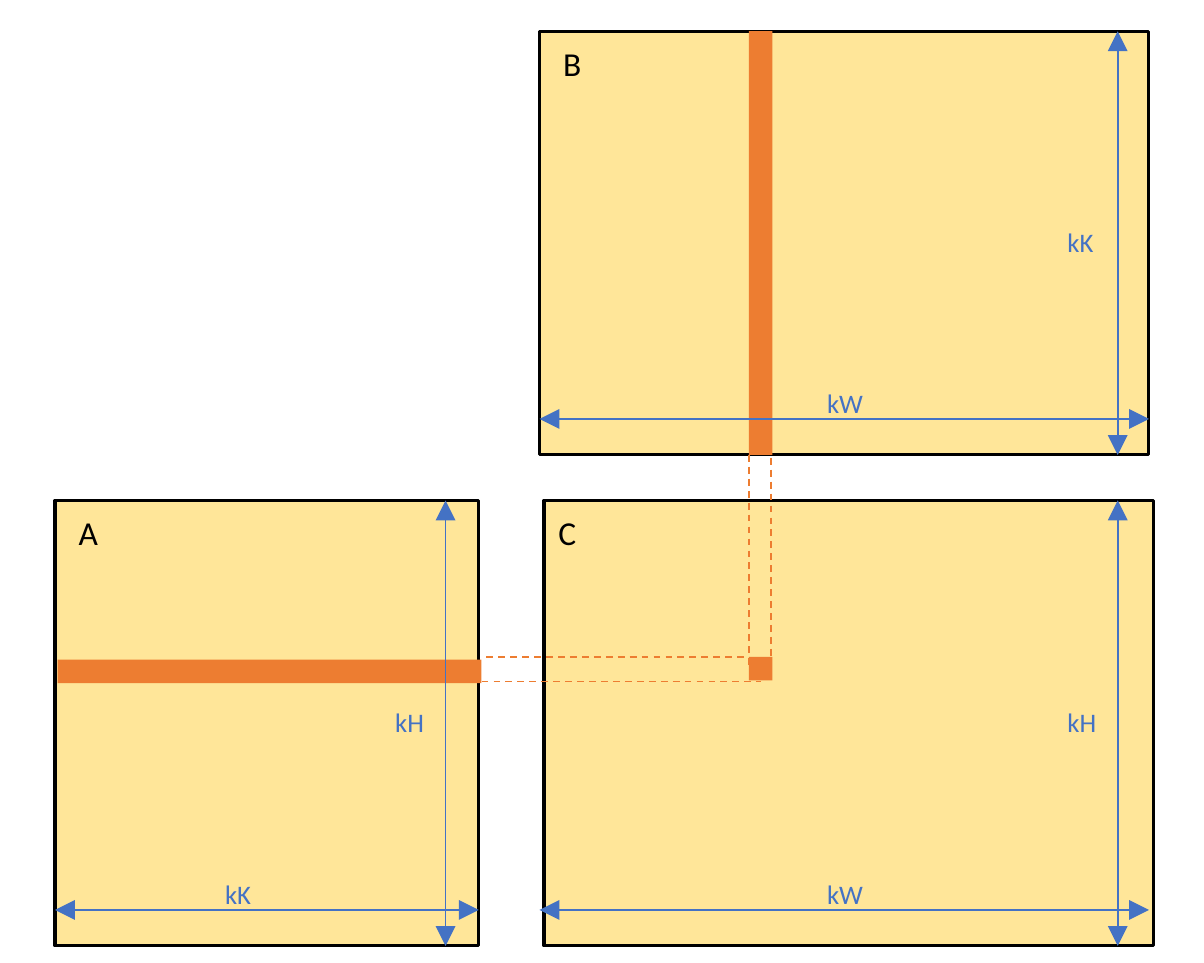
from dataclasses import dataclass

from lxml import etree
from pptx import Presentation
from pptx.dml.color import RGBColor
from pptx.enum.dml import MSO_LINE
from pptx.enum.shapes import MSO_CONNECTOR, MSO_SHAPE
from pptx.oxml.ns import qn
from pptx.util import Cm, Pt

RECT = MSO_SHAPE.RECTANGLE
STRAIGHT = MSO_CONNECTOR.STRAIGHT
DASH = MSO_LINE.DASH

COLORS = {"panel": "FFE699", "edge": "000000", "band": "ED7D31", "size": "4472C4"}
FONT = "Calibri"
BAND = 0.25  # thickness of the highlighted row and column, in cm


@dataclass(frozen=True)
class Box:
    left: float
    top: float
    width: float
    height: float


@dataclass(frozen=True)
class Matrix:
    name: str
    name_x: float
    box: Box
    band: Box
    rows: str
    rows_x: float  # place of the upright arrow
    cols: str
    cols_x: float  # left end of the level arrow
    cols_dx: float  # shift of its label from the middle


@dataclass(frozen=True)
class Guide:
    x1: float
    y1: float
    x2: float
    y2: float


MATRICES = [
    Matrix("A", 0.58, Box(0.58, 5.28, 4.47, 4.7), Box(0.61, 6.96, 4.47, BAND),
           "kH", 4.7, "kK", 0.58, 0.69),
    Matrix("B", 5.69, Box(5.69, 0.33, 6.43, 4.47), Box(7.9, 0.33, BAND, 4.47),
           "kK", 11.79, "kW", 5.69, 0.43),
    Matrix("C", 5.64, Box(5.74, 5.28, 6.43, 4.7), Box(7.9, 6.93, BAND, BAND),
           "kH", 11.79, "kW", 5.69, 0.43),
]

GUIDES = [
    Guide(5.13, 6.93, 7.9, 6.93),
    Guide(5.08, 7.19, 8.03, 7.19),
    Guide(7.9, 4.8, 7.9, 7.06),
    Guide(8.13, 4.83, 8.13, 6.93),
]


def color(key: str) -> RGBColor:
    return RGBColor.from_string(COLORS[key])


def add_rect(slide, box: Box, fill: str, edge: str = "") -> None:
    rect = slide.shapes.add_shape(
        RECT, Cm(box.left), Cm(box.top), Cm(box.width), Cm(box.height))
    rect.shadow.inherit = False
    rect.fill.solid()
    rect.fill.fore_color.rgb = color(fill)
    if edge:
        rect.line.color.rgb = color(edge)
        rect.line.width = Pt(1)
    else:
        rect.line.fill.background()


def add_text(slide, text: str, left: float, top: float, *,
             size: float, tint: str, height: float) -> None:
    frame = slide.shapes.add_textbox(
        Cm(left), Cm(top), Cm(1.17), Cm(height)).text_frame
    frame.word_wrap = True
    line = frame.paragraphs[0]
    line.text = text
    line.font.name = FONT
    line.font.size = Pt(size)
    line.font.color.rgb = color(tint)


def add_line(slide, x1: float, y1: float, x2: float, y2: float, tint: str,
             arrows: bool = False) -> None:
    """Draw a two-headed arrow, or a dashed line when arrows is False."""
    link = slide.shapes.add_connector(STRAIGHT, Cm(x1), Cm(y1), Cm(x2), Cm(y2))
    link.line.color.rgb = color(tint)
    link.line.width = Pt(0.5)
    if arrows:
        for end in ("a:headEnd", "a:tailEnd"):
            etree.SubElement(link.line._get_or_add_ln(), qn(end), type="triangle")
    else:
        link.line.dash_style = DASH
    etree.SubElement(link._element.spPr, qn("a:effectLst"))


def add_matrix(slide, item: Matrix) -> None:
    """Draw a panel with its band, its name and both of its dimensions."""
    box = item.box
    base = box.top + box.height
    row_y = base - 0.38
    end = item.cols_x + box.width
    middle = item.cols_x + box.width / 2
    label = {"size": 8, "tint": "size", "height": 0.61}

    add_rect(slide, box, "panel", "edge")
    add_rect(slide, item.band, "band")
    add_text(slide, item.name, item.name_x, box.top,
             size=10, tint="edge", height=0.69)
    add_line(slide, item.rows_x, box.top, item.rows_x, base, "size", arrows=True)
    add_text(slide, item.rows, item.rows_x - 0.78,
             box.top + box.height / 2 - 0.31, **label)
    add_line(slide, item.cols_x, row_y, end, row_y, "size", arrows=True)
    add_text(slide, item.cols, middle - item.cols_dx, row_y - 0.46, **label)


def main() -> None:
    deck = Presentation()
    deck.slide_width, deck.slide_height = Cm(12.7), Cm(10.16)
    slide = deck.slides.add_slide(deck.slide_layouts[6])
    for item in MATRICES:
        add_matrix(slide, item)
    for guide in GUIDES:
        add_line(slide, guide.x1, guide.y1, guide.x2, guide.y2, "band")
    deck.save("out.pptx")


if __name__ == "__main__":
    main()
